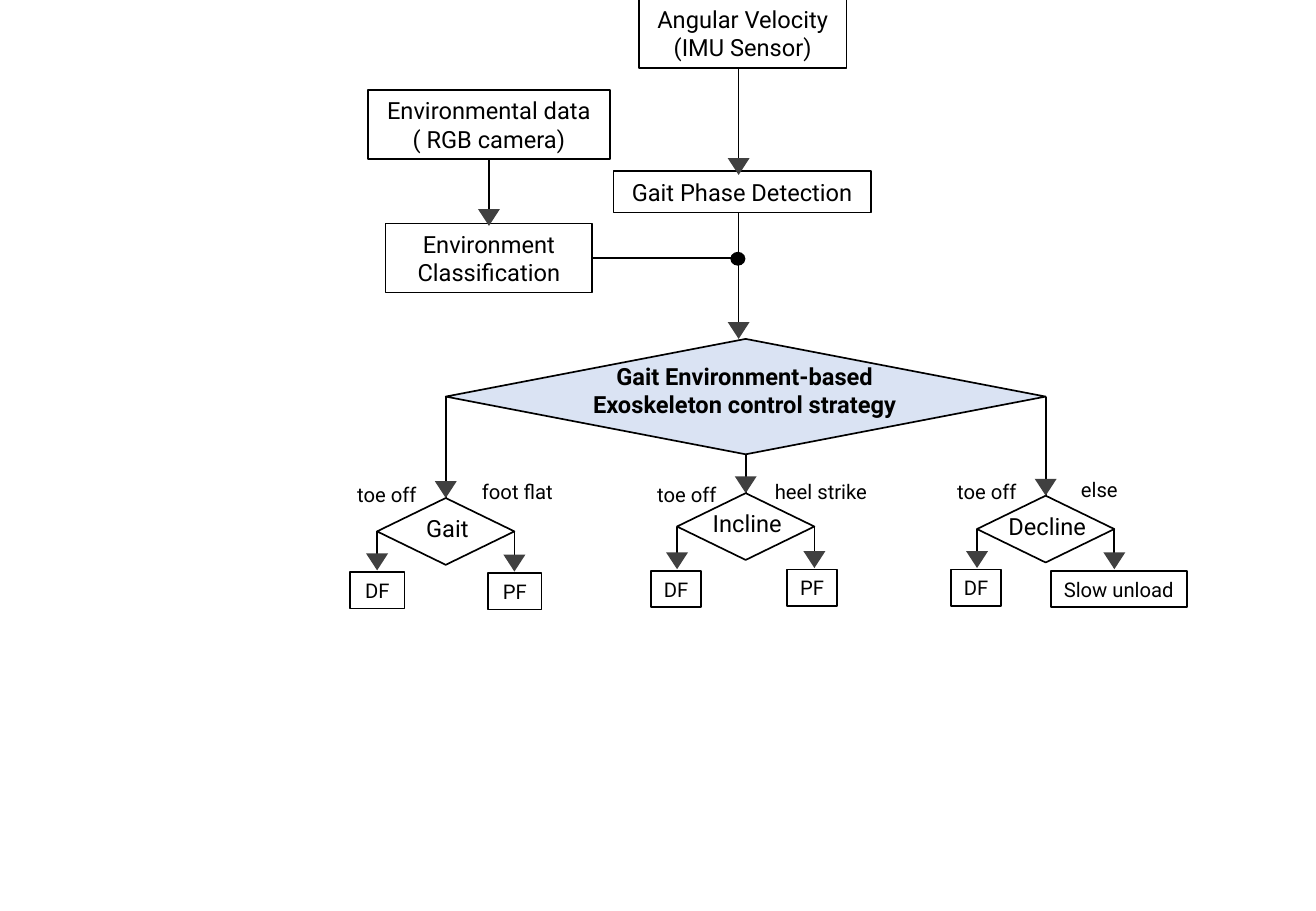
from dataclasses import dataclass

from lxml.etree import SubElement
from pptx import Presentation
from pptx.dml.color import RGBColor
from pptx.enum.shapes import MSO_CONNECTOR, MSO_SHAPE
from pptx.enum.text import MSO_ANCHOR, PP_ALIGN
from pptx.oxml.ns import qn
from pptx.util import Pt


@dataclass(frozen=True)
class Theme:
    font: str = "Roboto"
    ink: RGBColor = RGBColor(0, 0, 0)
    paper: RGBColor = RGBColor(255, 255, 255)
    strategy: RGBColor = RGBColor(0xDA, 0xE3, 0xF3)
    arrow: RGBColor = RGBColor(0x40, 0x40, 0x40)
    body: int = 14
    small: int = 12
    line: int = 1


@dataclass(frozen=True)
class Branch:
    name: str
    centre: float
    top: float
    label_top: float
    condition: str
    condition_shift: float
    outcomes: tuple  # text, centre, top, width


THEME = Theme()
TOP, LEFT, BOTTOM, RIGHT = range(4)
HEAD_WIDTH, HEAD_HEIGHT = 13, 10
DIAMOND_WIDTH, DIAMOND_HEIGHT = 81.4, 39.6
BOX_HEIGHT = 41
SMALL_HEIGHT = 21.6

BRANCHES = (
    Branch("Gait", 264.2, 295.2, 282.2, "foot flat", 14.4,
           (("DF", 223.6, 339.1, 32.4), ("PF", 305.2, 339.8, 31.7))),
    Branch("Incline", 442, 292.3, 282.2, "heel strike", 10.2,
           (("DF", 400.7, 338.4, 29.5), ("PF", 481.3, 337.7, 29.5))),
    Branch("Decline", 619.8, 293.8, 280.8, "else", 13.8,
           (("DF", 578.5, 337.7, 29.5), ("Slow unload", 663.1, 338.4, 80.6))),
)


def write(frame, text, size, bold=False, align=PP_ALIGN.CENTER):
    """Write text; \\n starts a paragraph and \\v a line."""
    frame.word_wrap = True
    if align == PP_ALIGN.CENTER:
        frame.margin_left = frame.margin_right = 0
    for number, content in enumerate(text.split("\n")):
        para = frame.add_paragraph() if number else frame.paragraphs[0]
        para.alignment = align
        for row, words in enumerate(content.split("\v")):
            if row:
                para.add_line_break()
            span = para.add_run()
            span.text = words
            span.font.name = THEME.font
            span.font.size = Pt(size)
            span.font.bold = bold
            span.font.color.rgb = THEME.ink


def add_figure(page, preset, left, top, width, height, fill=None, outlined=True):
    shape = page.shapes.add_shape(preset, Pt(left), Pt(top), Pt(width), Pt(height))
    shape.shadow.inherit = False
    if fill is None:
        shape.fill.background()
    else:
        shape.fill.solid()
        shape.fill.fore_color.rgb = fill
    if outlined:
        shape.line.color.rgb = THEME.ink
        shape.line.width = Pt(THEME.line)
    else:
        shape.line.fill.background()
    return shape


def add_box(page, text, left, top, width, height, size=THEME.body):
    box = add_figure(page, MSO_SHAPE.RECTANGLE, left, top, width, height)
    box.text_frame.vertical_anchor = MSO_ANCHOR.MIDDLE
    write(box.text_frame, text, size)
    return box


def add_label(page, text, left, top, width, height, size, **style):
    label = page.shapes.add_textbox(Pt(left), Pt(top), Pt(width), Pt(height))
    write(label.text_frame, text, size, **style)


def add_line(page, start, end, source=None, side=None, target=None, target_side=None):
    line = page.shapes.add_connector(
        MSO_CONNECTOR.STRAIGHT, *(Pt(value) for value in (*start, *end)))
    if source is not None:
        line.begin_connect(source, side)
    if target is not None:
        line.end_connect(target, target_side)
    line.line.color.rgb = THEME.ink
    line.line.width = Pt(THEME.line)
    SubElement(line._element.spPr, qn("a:effectLst"))


def add_arrow(page, x, top, tip, **joins):
    """Draw a vertical line with a wide arrowhead pointing down to tip."""
    end = tip if "target" in joins else tip - HEAD_HEIGHT / 2
    add_line(page, (x, top), (x, end), **joins)
    head = add_figure(page, MSO_SHAPE.ISOSCELES_TRIANGLE, x - HEAD_WIDTH / 2,
                      tip - HEAD_HEIGHT, HEAD_WIDTH, HEAD_HEIGHT,
                      THEME.arrow, outlined=False)
    head.rotation = 180


def add_inputs(page):
    # Camera path
    camera = add_box(page, "Environmental data\v( RGB camera)",
                     218.2, 53.3, 143.2, BOX_HEIGHT)
    classifier = add_box(page, "Environment\vClassification",
                         228.6, 132.5, 122.4, BOX_HEIGHT)
    add_arrow(page, 289.8, 94.3, 133.9, source=camera, side=BOTTOM,
              target=classifier, target_side=TOP)
    add_line(page, (351, 153), (441, 153), source=classifier, side=RIGHT)

    # Sensor path
    add_box(page, "Angular Velocity\v(IMU Sensor)", 378.7, -0.7, 123.1, BOX_HEIGHT)
    add_box(page, "Gait Phase Detection", 363.6, 101.5, 152.6, 24.5)
    add_arrow(page, 437.8, 40.3, 103.7)
    add_arrow(page, 437.8, 126, 200.9)
    add_figure(page, MSO_SHAPE.OVAL, 433.4, 149.8, 7.9, 7.2, THEME.ink)


def add_strategy(page):
    first, last = BRANCHES[0].centre, BRANCHES[-1].centre
    strategy = add_figure(page, MSO_SHAPE.FLOWCHART_DECISION, first, 200.9,
                          last - first, 68.4, THEME.strategy)
    add_label(page, "Gait Environment-based\nExoskeleton control strategy",
              323.3, 211, 236.2, BOX_HEIGHT, THEME.body, bold=True)
    return strategy


def add_branch(page, branch, strategy, side):
    centre, top = branch.centre, branch.top
    decision = add_figure(page, MSO_SHAPE.FLOWCHART_DECISION,
                          centre - DIAMOND_WIDTH / 2, top,
                          DIAMOND_WIDTH, DIAMOND_HEIGHT, THEME.paper)
    start = 269.3 if side == BOTTOM else 235.1
    add_arrow(page, centre, start, top, source=strategy, side=side,
              target=decision, target_side=TOP)
    add_label(page, branch.name, centre - 43.7, top + 6, 89.3, 24.5, THEME.body)

    # Conditions on either side
    add_label(page, "toe off", centre - 59.6, branch.label_top, 66.2,
              SMALL_HEIGHT, THEME.small, align=PP_ALIGN.LEFT)
    add_label(page, branch.condition, centre + branch.condition_shift,
              branch.label_top - 1.4, 103, SMALL_HEIGHT, THEME.small,
              align=PP_ALIGN.LEFT)

    # Outcomes below the side corners
    for corner, direction, outcome in zip((LEFT, RIGHT), (-1, 1), branch.outcomes):
        text, middle, box_top, width = outcome
        add_box(page, text, middle - width / 2, box_top, width, SMALL_HEIGHT,
                THEME.small)
        add_arrow(page, centre + direction * DIAMOND_WIDTH / 2,
                  top + DIAMOND_HEIGHT / 2, box_top - 1,
                  source=decision, side=corner)


def main():
    deck = Presentation()
    deck.slide_width, deck.slide_height = Pt(780), Pt(540)
    page = deck.slides.add_slide(deck.slide_layouts[6])
    add_inputs(page)
    strategy = add_strategy(page)
    for branch, side in zip(BRANCHES, (LEFT, BOTTOM, RIGHT)):
        add_branch(page, branch, strategy, side)
    deck.save("out.pptx")


if __name__ == "__main__":
    main()
